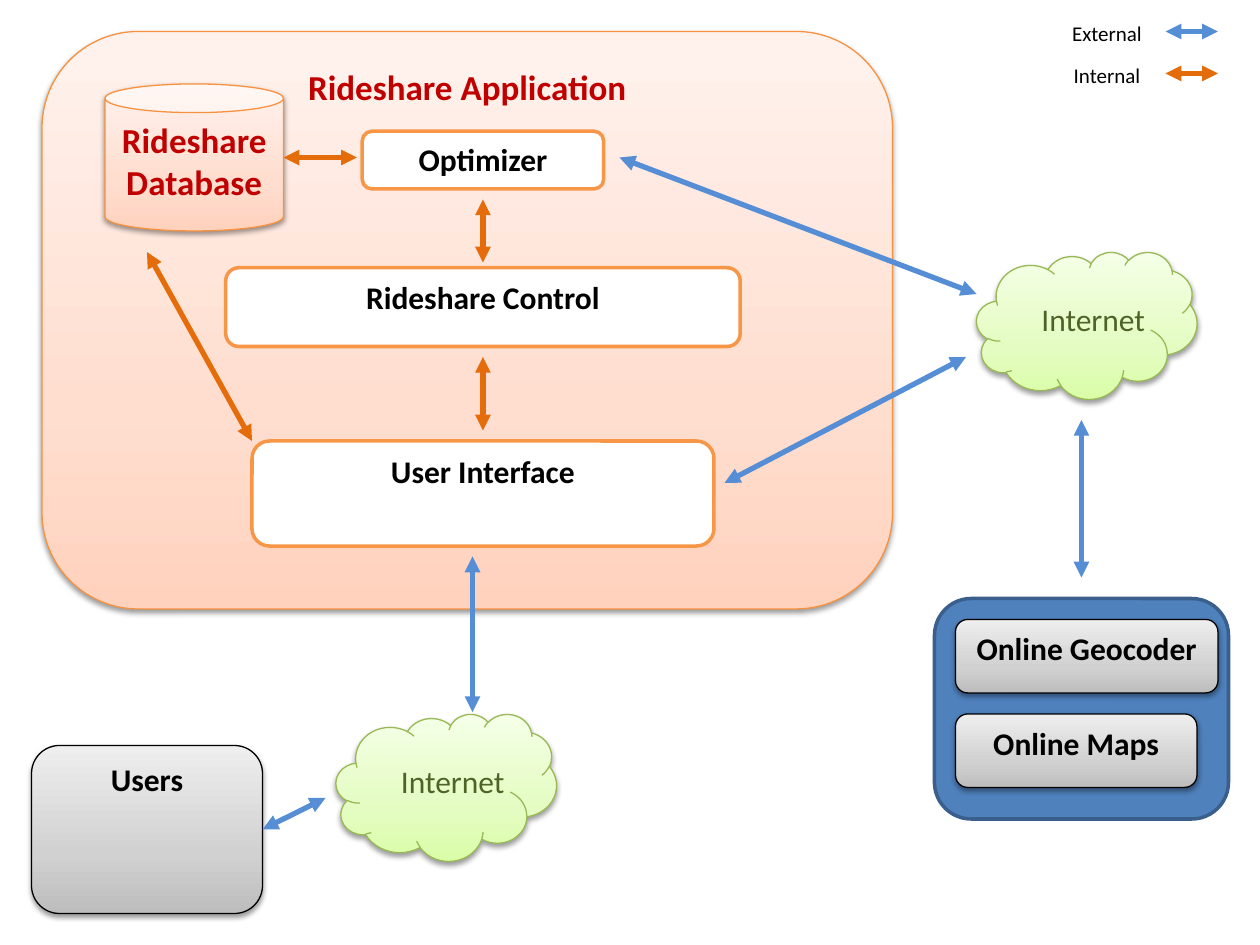
import copy
from dataclasses import dataclass

import pptx
import pptx.dml.color
import pptx.enum.shapes
import pptx.enum.text
import pptx.oxml
import pptx.oxml.ns
import pptx.util
from pptx.util import Pt

FONT = "Calibri"
COLORS = {
    "white": "FFFFFF",
    "black": "000000",
    "heading": "C00000",
    "cloud_text": "4F6228",
    "cloud_line": "98B955",
    "application_line": "F69240",
    "component_line": "F79646",
    "panel": "4F81BD",
    "panel_line": "3A5F8C",
    "external": "558ED5",
    "internal": "E46C0A",
}
GRADIENTS = {
    "green": ("DAFDA7", "E4FCC2", "F5FFE7"),
    "peach": ("FFD2BD", "FFDED0", "FFF2ED"),
    "gray": ("BDBDBD", "D1D1D1", "EEEEEE"),
}
GRADIENT_POSITIONS = (0, 0.35, 1)
KINDS = pptx.enum.shapes.MSO_SHAPE
SHADOW = (
    '<a:outerShdw xmlns:a="http://schemas.openxmlformats.org/drawingml/2006/main" '
    'blurRad="39400" dist="20300" dir="5400000" rotWithShape="0">'
    '<a:srgbClr val="000000"><a:alpha val="38000"/></a:srgbClr></a:outerShdw>'
)


@dataclass(frozen=True)
class Style:
    fill: str  # key of GRADIENTS or of COLORS
    line: str
    line_width: float = 0.75
    text_color: str = "black"
    text_size: float = 18


@dataclass(frozen=True)
class Node:
    left: float
    top: float
    width: float
    height: float
    style: Style
    text: str = ""
    kind: KINDS = KINDS.ROUNDED_RECTANGLE


@dataclass(frozen=True)
class Arrow:
    start: tuple[float, float]
    end: tuple[float, float]
    color: str


@dataclass(frozen=True)
class Label:
    left: float
    top: float
    width: float
    height: float
    text: str
    size: float
    color: str


APPLICATION = Style("peach", "application_line", text_color="heading", text_size=20)
COMPONENT = Style("white", "component_line", 2)
SERVICE = Style("gray", "black")
PANEL = Style("panel", "panel_line", 2)
CLOUD = Style("green", "cloud_line")

NODES = [
    Node(534, 342, 168, 126, PANEL),
    Node(24, 18, 486, 330, APPLICATION, "Rideshare Application"),
    Node(60, 48, 102, 84, APPLICATION, "Rideshare Database", KINDS.CAN),
    Node(546, 408, 138, 42, SERVICE, "Online Maps"),
    Node(546, 354, 150, 42, SERVICE, "Online Geocoder"),
    Node(207, 75, 138, 33, COMPONENT, "Optimizer"),
    Node(144, 252, 264, 60, COMPONENT, "User Interface"),
    Node(129, 153, 294, 45, COMPONENT, "Rideshare Control"),
    Node(18, 426, 132, 96, SERVICE, "Users"),
]
CLOUD_POSITIONS = [(192, 408), (558, 144)]
ARROWS = [
    Arrow((270, 318), (270, 407), "external"),
    Arrow((186, 456), (150, 474), "external"),
    Arrow((276, 204), (276, 246), "internal"),
    Arrow((618, 240), (618, 330), "external"),
    Arrow((204, 90), (162, 90), "internal"),
    Arrow((84, 144), (144, 252), "internal"),
    Arrow((276, 114), (276, 150), "internal"),
    Arrow((354, 90), (558, 168), "external"),
    Arrow((414, 276), (552, 204), "external"),
    Arrow((666, 18), (696, 18), "external"),
    Arrow((696, 42), (666, 42), "internal"),
]
LEGEND = [
    Label(605.5, 8, 54.5, 21.8, "External", 12, "black"),
    Label(606.5, 32, 52.5, 21.8, "Internal", 12, "black"),
]


def rgb(value: str) -> pptx.dml.color.RGBColor:
    return pptx.dml.color.RGBColor.from_string(value)


def format_text(text_frame, size: float, color: str, bold: bool) -> None:
    for paragraph in text_frame.paragraphs:
        for run in paragraph.runs:
            run.font.name = FONT
            run.font.size = Pt(size)
            run.font.bold = bold
            run.font.color.rgb = rgb(COLORS[color])


def fill_gradient(shape, colors: tuple[str, str, str]) -> None:
    """Fill from the bottom edge up, with three stops."""
    shape.fill.gradient()
    shape.fill.gradient_angle = 90
    stop_list = next(shape._element.spPr.iter(pptx.oxml.ns.qn("a:gsLst")))
    stop_list.append(copy.deepcopy(stop_list[-1]))
    for stop, position, color in zip(shape.fill.gradient_stops, GRADIENT_POSITIONS, colors):
        stop.position = position
        stop.color.rgb = rgb(color)


def draw_node(slide, node: Node) -> None:
    style = node.style
    shape = slide.shapes.add_shape(
        node.kind, Pt(node.left), Pt(node.top), Pt(node.width), Pt(node.height)
    )
    shape.shadow.inherit = False
    if style.fill in GRADIENTS:
        fill_gradient(shape, GRADIENTS[style.fill])
        effects = shape._element.spPr.find(pptx.oxml.ns.qn("a:effectLst"))
        effects.append(pptx.oxml.parse_xml(SHADOW))
    else:
        shape.fill.solid()
        shape.fill.fore_color.rgb = rgb(COLORS[style.fill])
    shape.line.color.rgb = rgb(COLORS[style.line])
    shape.line.width = Pt(style.line_width)
    if node.kind == KINDS.CAN:
        shape.adjustments[0] = 0.195
    if node.text:
        text_frame = shape.text_frame
        text_frame.text = node.text
        text_frame.word_wrap = True
        text_frame.vertical_anchor = pptx.enum.text.MSO_ANCHOR.TOP
        text_frame.paragraphs[0].alignment = pptx.enum.text.PP_ALIGN.CENTER
        format_text(text_frame, style.text_size, style.text_color, bold=True)


def draw_label(slide, label: Label) -> None:
    box = slide.shapes.add_textbox(
        Pt(label.left), Pt(label.top), Pt(label.width), Pt(label.height)
    )
    box.text_frame.text = label.text
    box.text_frame.word_wrap = False
    box.text_frame.auto_size = pptx.enum.text.MSO_AUTO_SIZE.SHAPE_TO_FIT_TEXT
    format_text(box.text_frame, label.size, label.color, bold=False)


def draw_cloud(slide, left: float, top: float) -> None:
    draw_node(slide, Node(left, top, 126, 84, CLOUD, kind=KINDS.CLOUD))
    draw_label(slide, Label(left + 30, top + 24, 75.6, 29, "Internet", 18, "cloud_text"))


def draw_arrow(slide, arrow: Arrow) -> None:
    """Draw a straight line with a triangle at both ends."""
    connector = slide.shapes.add_connector(
        pptx.enum.shapes.MSO_CONNECTOR.STRAIGHT,
        *(Pt(length) for length in arrow.start + arrow.end),
    )
    connector.line.color.rgb = rgb(COLORS[arrow.color])
    connector.line.width = Pt(3)
    line = connector.line._get_or_add_ln()
    for end in ("a:headEnd", "a:tailEnd"):
        pptx.oxml.ns.qn(end)
        line.append(line.makeelement(pptx.oxml.ns.qn(end), {"type": "triangle"}))
    properties = connector._element.spPr
    properties.append(properties.makeelement(pptx.oxml.ns.qn("a:effectLst"), {}))


def main() -> None:
    presentation = pptx.Presentation()
    presentation.slide_width = Pt(720)
    presentation.slide_height = Pt(540)
    slide = presentation.slides.add_slide(presentation.slide_layouts[6])
    for node in NODES:
        draw_node(slide, node)
    for left, top in CLOUD_POSITIONS:
        draw_cloud(slide, left, top)
    for arrow in ARROWS:
        draw_arrow(slide, arrow)
    for label in LEGEND:
        draw_label(slide, label)
    presentation.save("out.pptx")


if __name__ == "__main__":
    main()
